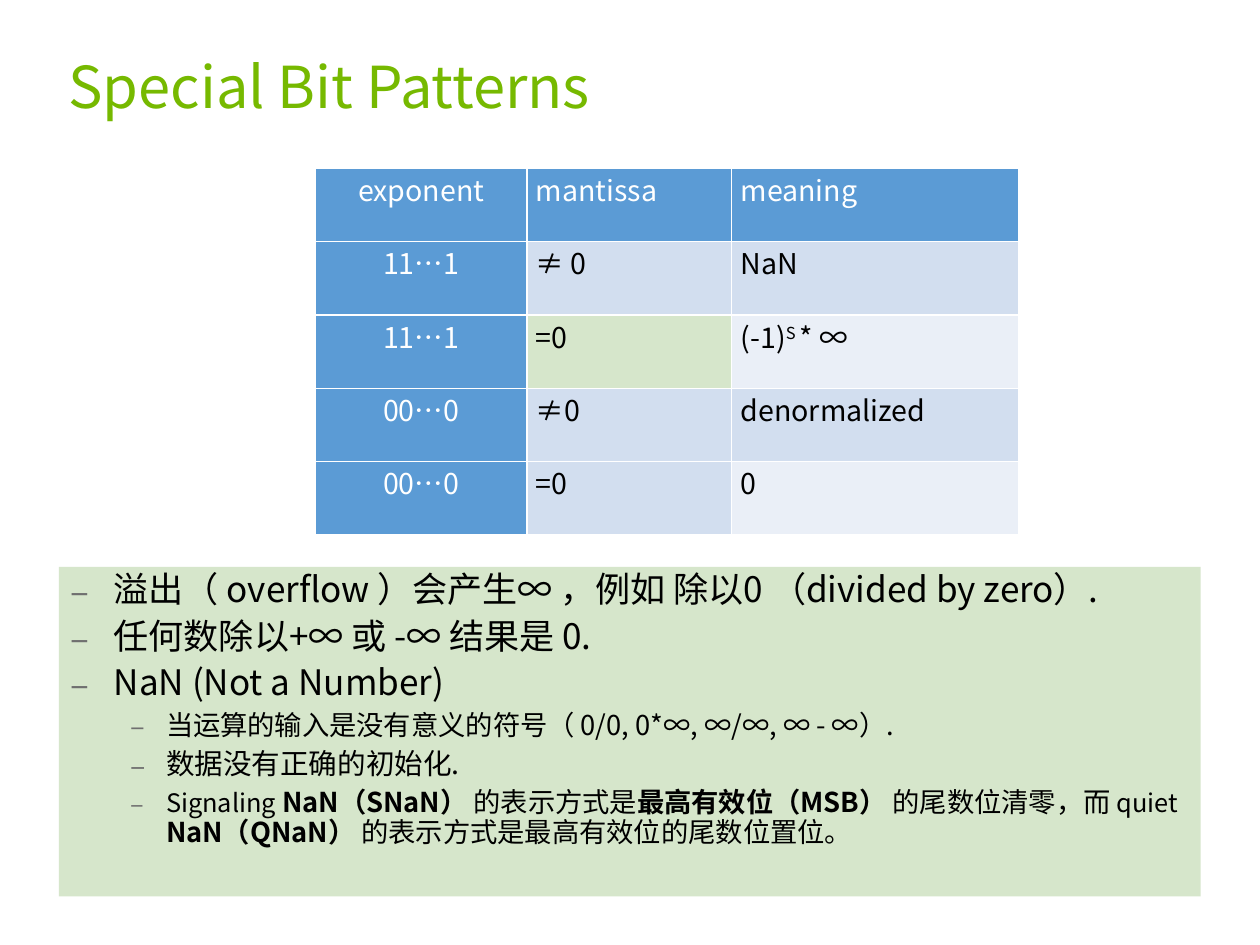
from lxml.etree import SubElement
from pptx import Presentation
from pptx.dml.color import RGBColor
from pptx.enum.shapes import MSO_SHAPE
from pptx.enum.text import MSO_ANCHOR, MSO_AUTO_SIZE, PP_ALIGN
from pptx.oxml.ns import qn
from pptx.util import Cm, Pt

FONT = "Noto Sans CJK SC"
GREEN, PALE_GREEN, BLUE = "76B900", "D6E6CB", "5B9BD5"
BAND_DARK, BAND_LIGHT = "D2DEEF", "EAEFF7"
WHITE, BLACK, GREY = "FFFFFF", "000000", "6F6F6F"

TITLE = "Special Bit Patterns"
PATTERNS = [
    ("exponent", "mantissa", "meaning"),
    ("11…1", "≠ 0", "NaN"),
    ("11…1", "=0", (("(-1)", 0), ("S ", 30), ("* ∞", 0))),
    ("00…0", "≠0", "denormalized"),
    ("00…0", "=0", "0"),
]
ROW_FILLS = [
    (BLUE, BLUE, BLUE),
    (BLUE, BAND_DARK, BAND_DARK),
    (BLUE, PALE_GREEN, BAND_LIGHT),
    (BLUE, BAND_DARK, BAND_DARK),
    (BLUE, BAND_DARK, BAND_LIGHT),
]
COLUMN_WIDTHS = [4.7, 4.55, 6.37]
ROW_HEIGHT = 1.63

NOTES = [
    (0, [("溢出（ overflow ）会产生∞ ，例如 除以0 （divided by zero）.", 22.1, False)]),
    (0, [("任何数除以+∞ 或 -∞ 结果是 0.", 22.1, False)]),
    (0, [("NaN (Not a Number)", 22.1, False)]),
    (1, [("当运算的输入是没有意义的符号（ 0/0, 0*∞, ∞/∞, ∞ - ∞）.", 17.2, False)]),
    (1, [("数据没有正确的初始化.", 18, False)]),
    (1, [
        ("Signaling", 16, False),
        (" NaN（SNaN） ", 17.2, True),
        ("的表示方式是", 17.2, False),
        ("最高有效位（MSB） ", 17.2, True),
        ("的尾数位清零，而 ", 17.2, False),
        ("quiet", 16, False),
        (" NaN（QNaN） ", 17.2, True),
        ("的表示方式是最高有效位的尾数位置位。", 17.2, False),
    ]),
]
LEVEL_INDENTS = [(0.97, 0.97), (2.13, 0.79)]


def color(value):
    return RGBColor.from_string(value)


def paint(target, value):
    target.fill.solid()
    target.fill.fore_color.rgb = color(value)


def place(shape, left, top, width, height):
    shape.left, shape.top = Cm(left), Cm(top)
    shape.width, shape.height = Cm(width), Cm(height)


def add_span(para, text, size, ink, bold=False, baseline=0):
    span = para.add_run()
    span.text = text
    span.font.size = Pt(size)
    span.font.bold = bold
    span.font.name = FONT
    span.font.color.rgb = color(ink)
    properties = span.font._element
    SubElement(properties, qn("a:ea"), typeface=FONT)
    if baseline:
        properties.set("baseline", str(baseline * 1000))


def add_dash(para, level):
    left, hanging = LEVEL_INDENTS[level]
    properties = para._p.get_or_add_pPr()
    properties.set("marL", str(Cm(left)))
    properties.set("indent", str(-Cm(hanging)))
    tint = SubElement(properties, qn("a:buClr"))
    SubElement(tint, qn("a:srgbClr"), val=GREY)
    SubElement(properties, qn("a:buFont"), typeface=FONT)
    SubElement(properties, qn("a:buChar"), char="–")


def add_borders(cell):
    properties = cell._tc.get_or_add_tcPr()
    for side in ("lnL", "lnR", "lnT", "lnB"):
        line = SubElement(properties, qn(f"a:{side}"), w=str(Pt(1)))
        ink = SubElement(line, qn("a:solidFill"))
        SubElement(ink, qn("a:srgbClr"), val=WHITE)


def add_title(page):
    title = page.shapes.title
    place(title, 1.27, 1.15, 25.45, 1.7)
    frame = title.text_frame
    frame.auto_size = MSO_AUTO_SIZE.NONE
    frame.vertical_anchor = MSO_ANCHOR.MIDDLE
    para = frame.paragraphs[0]
    para.alignment = PP_ALIGN.LEFT
    para.line_spacing = 0.9
    add_span(para, TITLE, 36.4, GREEN)


def add_notes_box(page):
    box = page.shapes.add_shape(MSO_SHAPE.RECTANGLE, Cm(1.31), Cm(12.6), Cm(25.37), Cm(7.32))
    box.shadow.inherit = False
    box.line.fill.background()
    paint(box, PALE_GREEN)
    frame = box.text_frame
    frame.word_wrap = True
    frame.vertical_anchor = MSO_ANCHOR.TOP
    for index, (level, spans) in enumerate(NOTES):
        para = frame.add_paragraph() if index else frame.paragraphs[0]
        para.level = level
        para.alignment = PP_ALIGN.LEFT
        para.line_spacing = 0.9
        para.space_before = para.space_after = Pt(2.7)
        add_dash(para, level)
        for text, size, bold in spans:
            add_span(para, text, size, BLACK, bold)


def add_pattern_table(page):
    rows, columns = len(PATTERNS), len(COLUMN_WIDTHS)
    table = page.shapes.add_table(
        rows, columns, Cm(7.01), Cm(3.74), Cm(sum(COLUMN_WIDTHS)), Cm(rows * ROW_HEIGHT)
    ).table
    for column, width in zip(table.columns, COLUMN_WIDTHS):
        column.width = Cm(width)
    for row, texts, fills in zip(table.rows, PATTERNS, ROW_FILLS):
        row.height = Cm(ROW_HEIGHT)
        for index, (cell, content, fill) in enumerate(zip(row.cells, texts, fills)):
            cell.margin_left = cell.margin_right = Cm(0.2)
            cell.margin_top = cell.margin_bottom = 0
            add_borders(cell)
            paint(cell, fill)
            para = cell.text_frame.paragraphs[0]
            para.alignment = PP_ALIGN.LEFT if index else PP_ALIGN.CENTER
            ink = WHITE if fill == BLUE else BLACK
            pieces = ((content, 0),) if isinstance(content, str) else content
            for text, baseline in pieces:
                add_span(para, text, 18, ink, baseline=baseline)


def main():
    deck = Presentation()
    deck.slide_width, deck.slide_height = Cm(28), Cm(21)
    page = deck.slides.add_slide(deck.slide_layouts[5])
    add_title(page)
    add_notes_box(page)
    add_pattern_table(page)
    deck.save("out.pptx")


if __name__ == "__main__":
    main()
